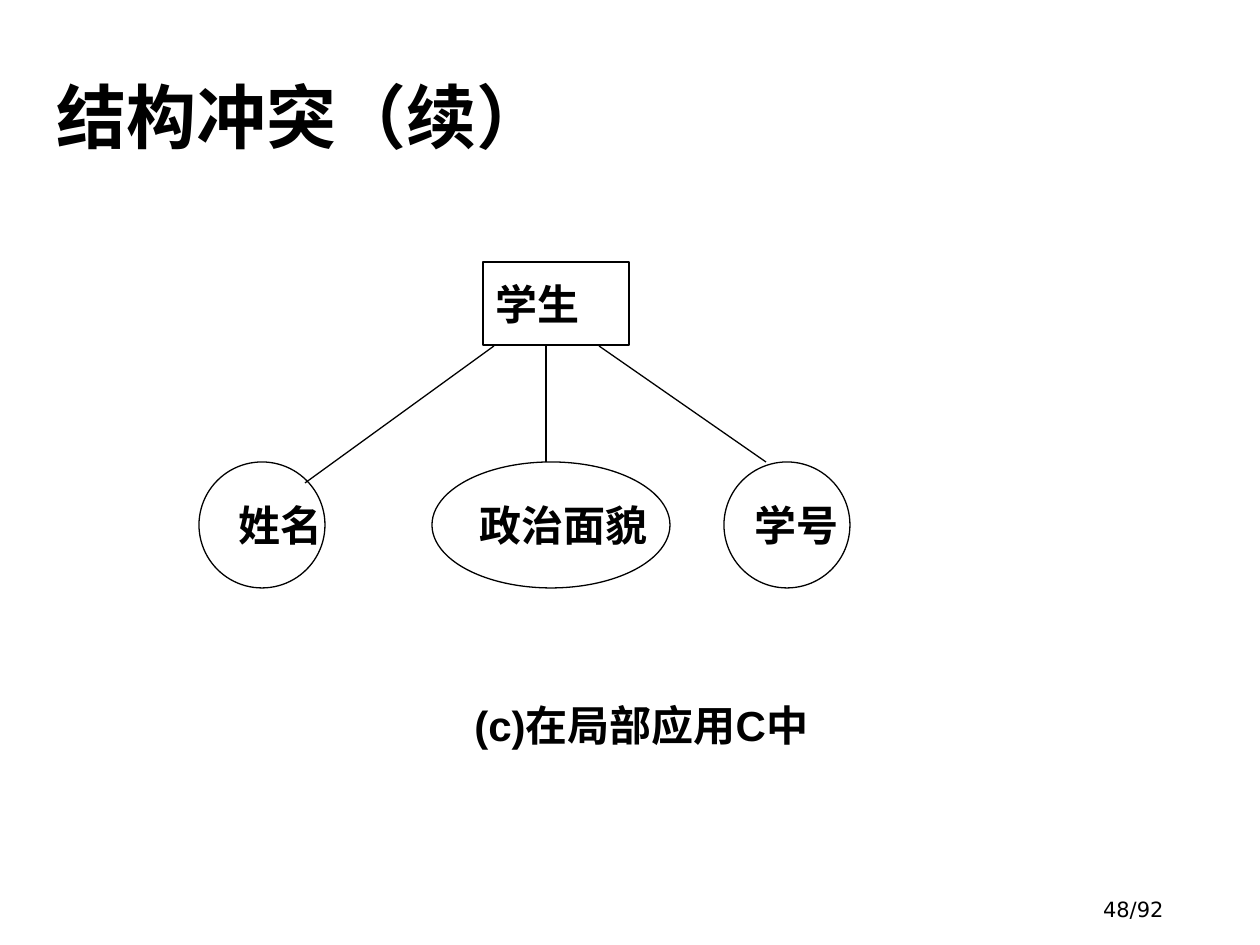
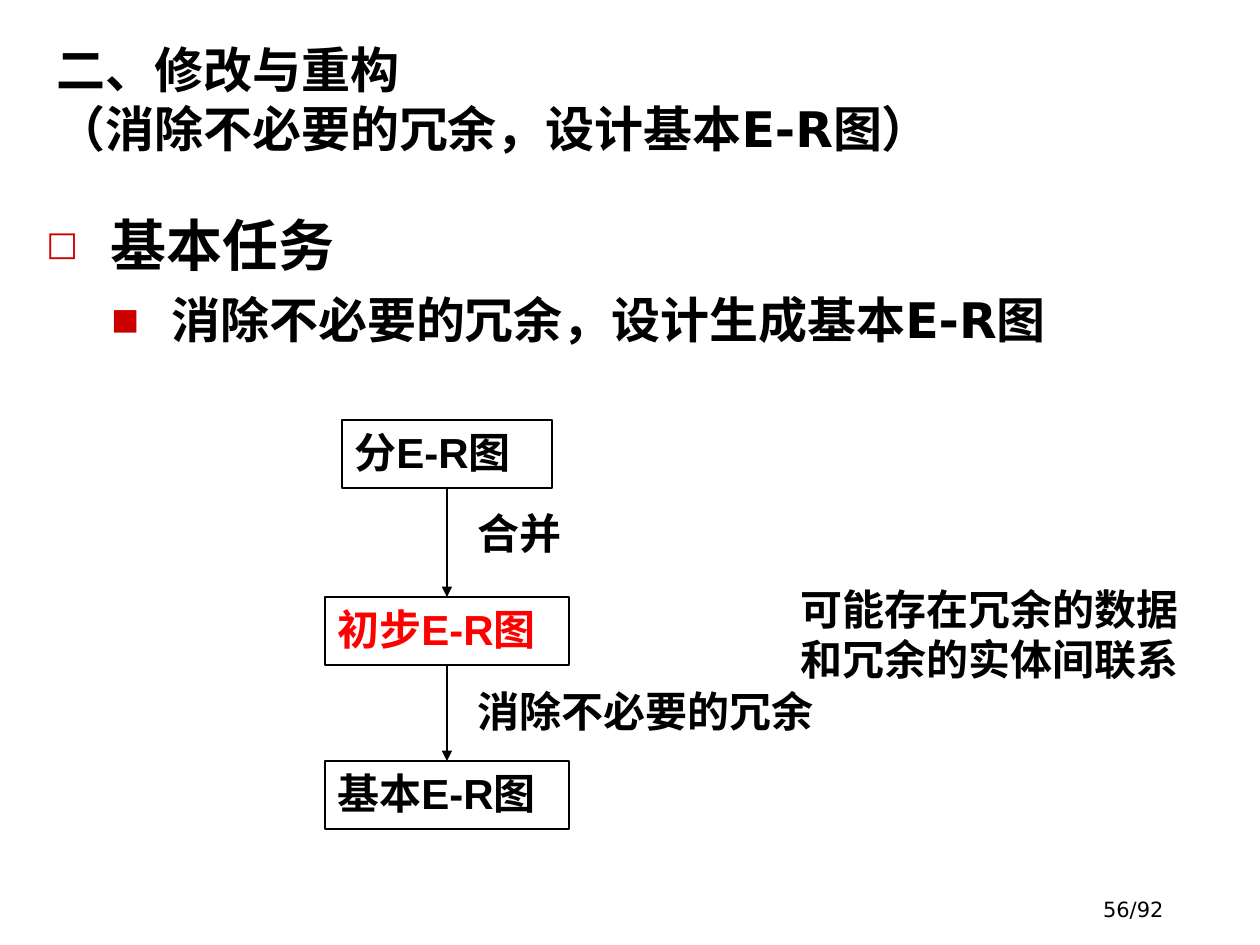
from dataclasses import dataclass
from lxml import etree
from pptx import Presentation
from pptx.dml.color import RGBColor
from pptx.enum.shapes import MSO_CONNECTOR, MSO_SHAPE
from pptx.enum.text import MSO_ANCHOR, MSO_AUTO_SIZE, PP_ALIGN
from pptx.oxml.ns import qn
from pptx.slide import Slide
from pptx.text.text import TextFrame
from pptx.util import Emu, Pt

RECTANGLE = MSO_SHAPE.RECTANGLE
ELLIPSE = MSO_SHAPE.OVAL
STRAIGHT = MSO_CONNECTOR.STRAIGHT
TOP, MIDDLE, BOTTOM = MSO_ANCHOR.TOP, MSO_ANCHOR.MIDDLE, MSO_ANCHOR.BOTTOM
LEFT, RIGHT, JUSTIFY = PP_ALIGN.LEFT, PP_ALIGN.RIGHT, PP_ALIGN.JUSTIFY

PX_PER_INCH = 126
BLACK, RED, BULLET_RED = "000000", "FF0000", "CC0000"
HEADING_FONT, DIAGRAM_FONT = "DejaVu Sans", "Arial"
PAGE_COUNT = 92


@dataclass(frozen=True)
class Box:
    text: str
    left: int
    top: int
    width: int
    height: int
    outline: MSO_SHAPE | None = None
    line_width: float = 0.75
    font: str = DIAGRAM_FONT
    size: int = 24
    color: str = BLACK
    bold: bool = True
    align: PP_ALIGN = LEFT
    anchor: MSO_ANCHOR = TOP
    wrap: bool = True
    extra_inset: int = 0


@dataclass(frozen=True)
class Link:
    start: tuple[int, int]
    end: tuple[int, int]
    width: float = 0.75
    arrow: bool = False


@dataclass(frozen=True)
class Bullet:
    text: str
    level: int
    symbol: str
    size: int
    margin: int
    hanging: int
    space_before: int


def px(length: int) -> Emu:
    return Emu(round(length * 914400 / PX_PER_INCH))


def rgb(color: str) -> RGBColor:
    return RGBColor.from_string(color)


def format_text(text_frame: TextFrame, font: str, size: int, color: str,
                bold: bool, align: PP_ALIGN) -> None:
    for paragraph in text_frame.paragraphs:
        paragraph.alignment = align
        for run in paragraph.runs:
            run.font.name = font
            run.font.size = Pt(size)
            run.font.bold = bold
            run.font.color.rgb = rgb(color)


def draw_box(slide: Slide, box: Box) -> None:
    bounds = [px(side) for side in (box.left, box.top, box.width, box.height)]
    if box.outline is None:
        shape = slide.shapes.add_textbox(*bounds)
    else:
        shape = slide.shapes.add_shape(box.outline, *bounds)
        shape.shadow.inherit = False
        shape.fill.background()
        shape.line.color.rgb = rgb(BLACK)
        shape.line.width = Pt(box.line_width)
    text_frame = shape.text_frame
    text_frame.word_wrap = box.wrap
    text_frame.vertical_anchor = box.anchor
    text_frame.margin_left += px(box.extra_inset)
    text_frame.text = box.text
    format_text(text_frame, box.font, box.size, box.color, box.bold, box.align)


def draw_link(slide: Slide, link: Link) -> None:
    ends = [px(value) for value in (*link.start, *link.end)]
    connector = slide.shapes.add_connector(STRAIGHT, *ends)
    connector.line.color.rgb = rgb(BLACK)
    connector.line.width = Pt(link.width)
    properties = connector._element.spPr
    if link.arrow:
        etree.SubElement(properties.find(qn("a:ln")), qn("a:tailEnd"), type="triangle")
    etree.SubElement(properties, qn("a:effectLst"))


def draw_bullets(slide: Slide, bullets: list[Bullet]) -> None:
    shape = slide.shapes.add_textbox(px(34), px(204), px(1181), px(655))
    text_frame = shape.text_frame
    text_frame.word_wrap = True
    text_frame.text = "\n".join(bullet.text for bullet in bullets)
    format_text(text_frame, HEADING_FONT, 28, BLACK, True, LEFT)
    for paragraph, bullet in zip(text_frame.paragraphs, bullets):
        properties = paragraph._p.get_or_add_pPr()
        properties.set("marL", str(px(bullet.margin)))
        properties.set("indent", str(-px(bullet.hanging)))
        color = etree.SubElement(properties, qn("a:buClr"))
        etree.SubElement(color, qn("a:srgbClr"), val=BULLET_RED)
        etree.SubElement(properties, qn("a:buSzPct"), val="60000")
        etree.SubElement(properties, qn("a:buFont"), typeface=HEADING_FONT)
        etree.SubElement(properties, qn("a:buChar"), char=bullet.symbol)
        paragraph.level = bullet.level
        if bullet.space_before:
            paragraph.space_before = Pt(bullet.space_before)
        paragraph.runs[0].font.size = Pt(bullet.size)


def add_titled_slide(presentation: Presentation, title: str, size: int, page: int) -> Slide:
    slide = presentation.slides.add_slide(presentation.slide_layouts[5])
    shape = slide.shapes.title
    shape.left, shape.top, shape.width, shape.height = px(44), px(35), px(1171), px(129)
    text_frame = shape.text_frame
    text_frame.text = title
    text_frame.word_wrap = True
    text_frame.auto_size = MSO_AUTO_SIZE.NONE
    text_frame.vertical_anchor = BOTTOM
    format_text(text_frame, HEADING_FONT, size, BLACK, True, LEFT)
    draw_box(slide, Box(f"{page}/{PAGE_COUNT}", 903, 890, 273, 37, font=HEADING_FONT,
                        size=12, bold=False, align=RIGHT))
    return slide


def build_conflict_slide(presentation: Presentation) -> None:
    slide = add_titled_slide(presentation, "结构冲突（续）", 40, 48)
    entity_bottom, attribute_top, attribute_height = 346, 462, 126
    draw_box(slide, Box("学生", 483, 262, 146, 83, RECTANGLE, anchor=MIDDLE, wrap=False))
    for text, left, width, extra_inset in (
        ("学号", 724, 126, 0),
        ("姓名", 199, 126, 9),
        ("政治面貌", 432, 238, 0),
    ):
        draw_box(slide, Box(text, left, attribute_top, width, attribute_height, ELLIPSE,
                            anchor=MIDDLE, wrap=False, extra_inset=extra_inset))
    for start_x, end in ((494, (305, 483)), (599, (766, attribute_top)),
                         (546, (546, attribute_top))):
        draw_link(slide, Link((start_x, entity_bottom), end))
    draw_box(slide, Box("(c)在局部应用C中", 462, 683, 410, 84, anchor=MIDDLE, wrap=False))


def build_redundancy_slide(presentation: Presentation) -> None:
    slide = add_titled_slide(
        presentation, "二、修改与重构\v（消除不必要的冗余，设计基本E-R图）", 28, 56)
    draw_bullets(slide, [
        Bullet("基本任务", 0, "□", 32, 64, 64, 0),
        Bullet("消除不必要的冗余，设计生成基本E-R图", 1, "■", 28, 125, 60, 7),
    ])
    center, stage_height, label_left = 447, 68, 465
    stages = (
        ("分E-R图", 420, 210, BLACK),
        ("初步E-R图", 597, 244, RED),
        ("基本E-R图", 761, 244, BLACK),
    )
    for text, top, width, color in stages:
        draw_box(slide, Box(text, center - width // 2, top, width, stage_height,
                            RECTANGLE, 1.5, color=color))
    for upper, lower in zip(stages, stages[1:]):
        draw_link(slide, Link((center, upper[1] + stage_height), (center, lower[1]),
                              1.5, True))
    for text, left, top, width, height in (
        ("合并", label_left, 501, 156, 54),
        ("消除不必要的冗余", label_left, 679, 382, 68),
        ("可能存在冗余的数据\n和冗余的实体间联系", 788, 577, 410, 105),
    ):
        draw_box(slide, Box(text, left, top, width, height, align=JUSTIFY))


def main() -> None:
    presentation = Presentation()
    presentation.slide_width, presentation.slide_height = px(1260), px(945)
    build_conflict_slide(presentation)
    build_redundancy_slide(presentation)
    presentation.save("out.pptx")


if __name__ == "__main__":
    main()
